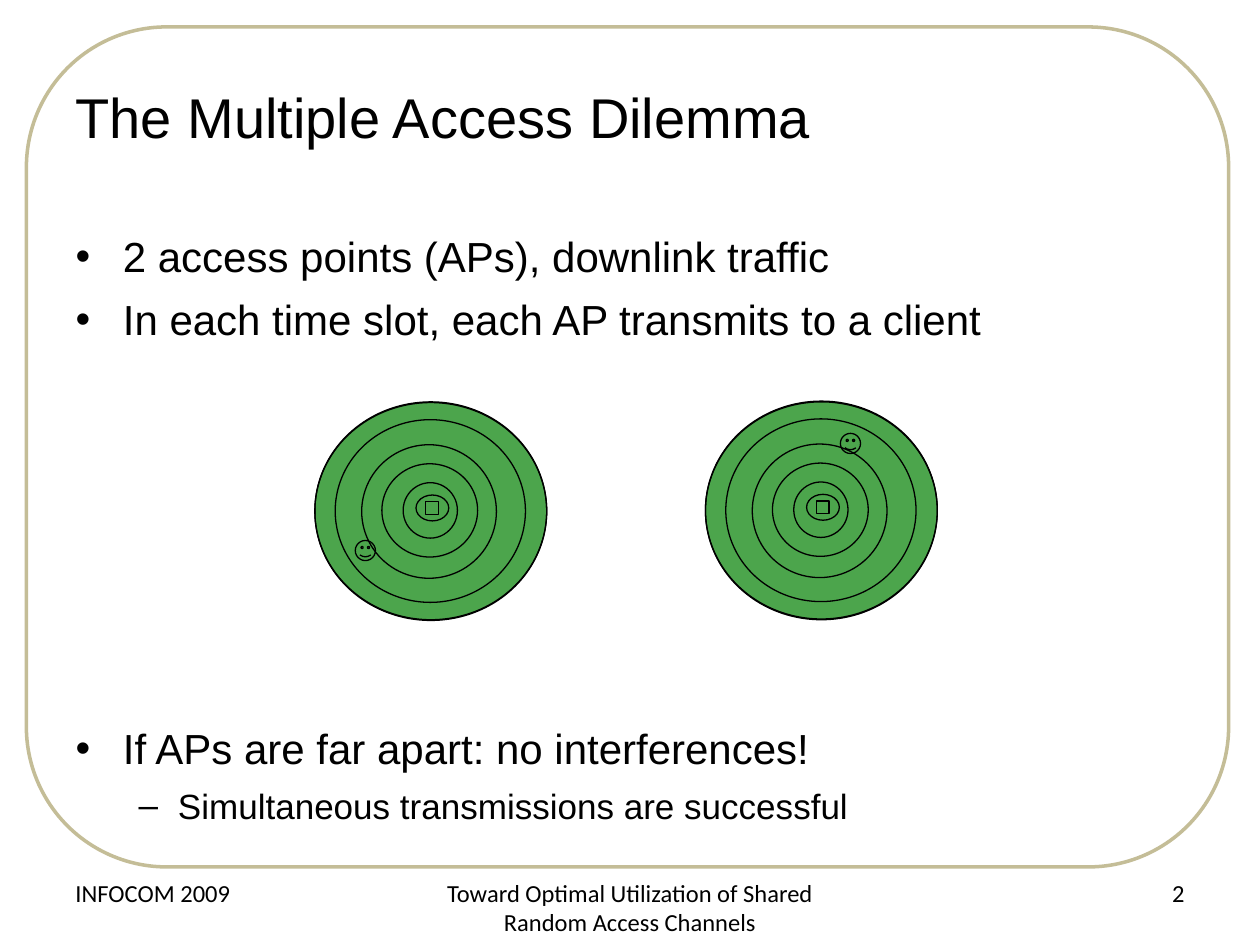
from lxml.etree import SubElement
from pptx import Presentation
from pptx.dml.color import RGBColor
from pptx.enum.shapes import MSO_SHAPE
from pptx.enum.text import MSO_ANCHOR, MSO_AUTO_SIZE, PP_ALIGN
from pptx.oxml.ns import qn
from pptx.util import Pt

BLACK = RGBColor(0, 0, 0)
GREEN = RGBColor(0, 128, 0)
TAN = RGBColor(0xC4, 0xBD, 0x97)

RINGS = [(132.5, 124.5, 0, 0), (108.7, 104.4, -0.3, -0.3), (77, 76.3, -1, 0),
         (54.7, 53.3, -0.6, -0.6), (31, 31.7, -0.3, -0.6), (18.7, 14.8, 0.9, -2)]
CELLS = [(246.2, 292.3, 208.8, 314.6), (469.4, 291.9, 486, 253.4)]


def write(para, text, font="Arial", size=24, align=PP_ALIGN.LEFT, before=0):
    para.text = text
    para.alignment = align
    para.space_before = Pt(before)
    para.font.name = font
    para.font.size = Pt(size)
    para.font.color.rgb = BLACK


def bullet(para, mark, left, hang):
    props = para._p.get_or_add_pPr()
    props.set("marL", str(Pt(left)))
    props.set("indent", str(-Pt(hang)))
    SubElement(props, qn("a:buFont"), typeface="Arial")
    SubElement(props, qn("a:buChar"), char=mark)


class Page:
    def __init__(self, slide):
        self.slide = slide

    def place(self, item, x, y, w, h):
        item.left, item.top, item.width, item.height = map(Pt, (x, y, w, h))
        item.text_frame.word_wrap = True
        item.text_frame.auto_size = MSO_AUTO_SIZE.NONE
        return item.text_frame

    def title(self, text, box):
        frame = self.place(self.slide.shapes.title, *box)
        frame.vertical_anchor = MSO_ANCHOR.MIDDLE
        write(frame.paragraphs[0], text, size=32)

    def body(self, items, box):
        frame = self.place(self.slide.placeholders[1], *box)
        frame.vertical_anchor = MSO_ANCHOR.TOP
        for num, (text, level, before) in enumerate(items):
            para = frame.add_paragraph() if num else frame.paragraphs[0]
            para.level = level
            if level:
                bullet(para, "–", 58.5, 22.5)
            else:
                bullet(para, "•", 27, 27)
            write(para, text, size=20 if level else 24, before=before)

    def note(self, text, x, w, align):
        box = self.slide.shapes.add_textbox(0, 0, 0, 0)
        frame = self.place(box, x, 498, w, 37.5)
        write(frame.paragraphs[0], text, "Calibri", 14, align)

    def shape(self, kind, mid, w, h, fill=None, line=BLACK, width=0.75):
        x, y = mid
        item = self.slide.shapes.add_shape(
            kind, Pt(x - w / 2), Pt(y - h / 2), Pt(w), Pt(h))
        item.shadow.inherit = False
        if fill is None:
            item.fill.background()
        else:
            item.fill.solid()
            item.fill.fore_color.rgb = fill
            tint = item._element.spPr.find(qn("a:solidFill"))[0]
            SubElement(tint, qn("a:alpha"), val="70000")
        item.line.color.rgb = line
        item.line.width = Pt(width)
        return item

    def cell(self, x, y, face_x, face_y):
        self.shape(MSO_SHAPE.OVAL, (x, y - 0.4), 132.5, 124.5, GREEN)
        for w, h, dx, dy in RINGS:
            self.shape(MSO_SHAPE.OVAL, (x + dx, y + dy), w, h)
        self.shape(MSO_SHAPE.RECTANGLE, (x + 0.7, y - 2), 7.2, 7.2)
        face = self.shape(MSO_SHAPE.SMILEY_FACE, (face_x, face_y), 11.5, 11.5)
        face.adjustments[0] = 0.05


def main():
    deck = Presentation()
    deck.slide_width, deck.slide_height = Pt(720), Pt(540)
    page = Page(deck.slides.add_slide(deck.slide_layouts[1]))
    frame = page.shape(MSO_SHAPE.ROUNDED_RECTANGLE, (358.6, 255.4), 687, 480,
                       line=TAN, width=2)
    frame.adjustments[0] = 0.167
    page.title("The Multiple Access Dilemma", (36, 21.6, 648, 90))
    page.body([
        ("2 access points (APs), downlink traffic", 0, 0),
        ("In each time slot, each AP transmits to a client", 0, 7.2),
        ("If APs are far apart: no interferences!", 0, 216.4),
        ("Simultaneous transmissions are successful", 1, 6.5),
    ], (36, 128, 648, 356))
    for spot in CELLS:
        page.cell(*spot)
    page.note("INFOCOM 2009", 36, 168, PP_ALIGN.LEFT)
    page.note("Toward Optimal Utilization of Shared Random Access Channels",
              246, 228, PP_ALIGN.CENTER)
    page.note("2", 516, 168, PP_ALIGN.RIGHT)
    deck.save("out.pptx")


if __name__ == "__main__":
    main()
